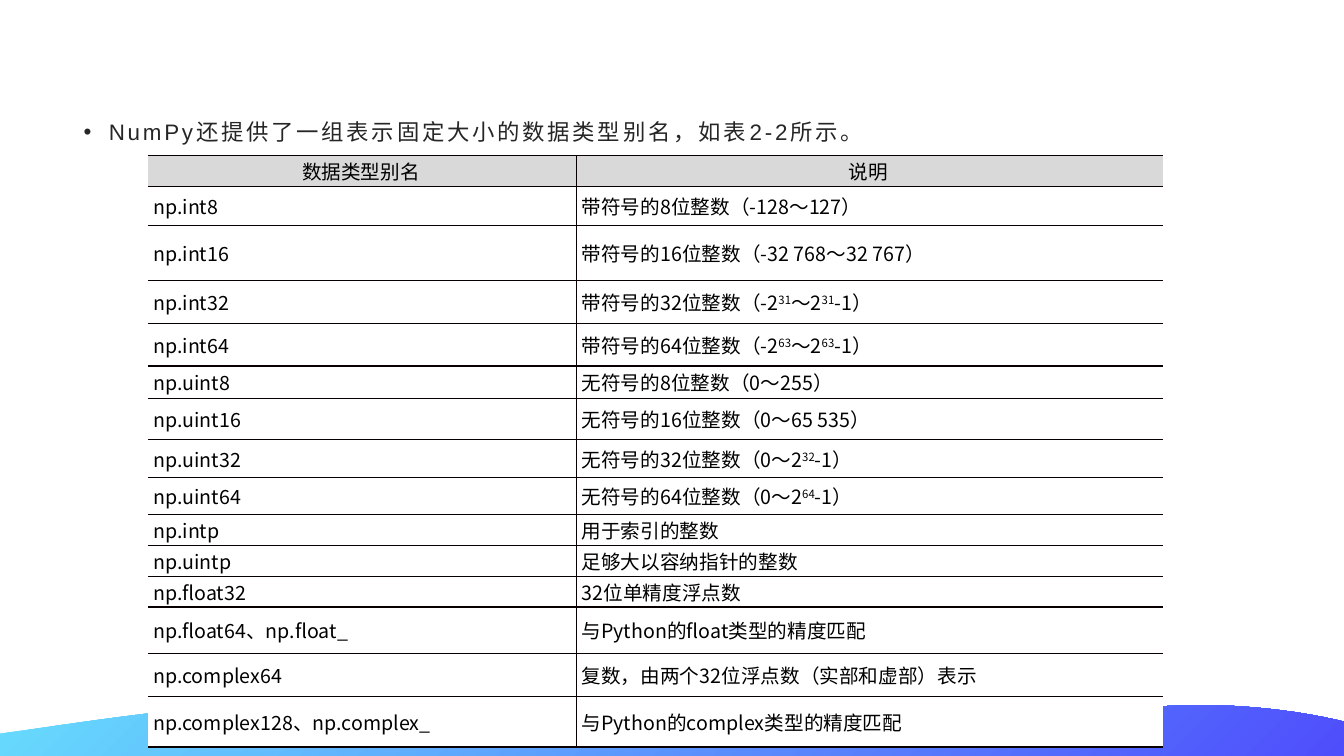
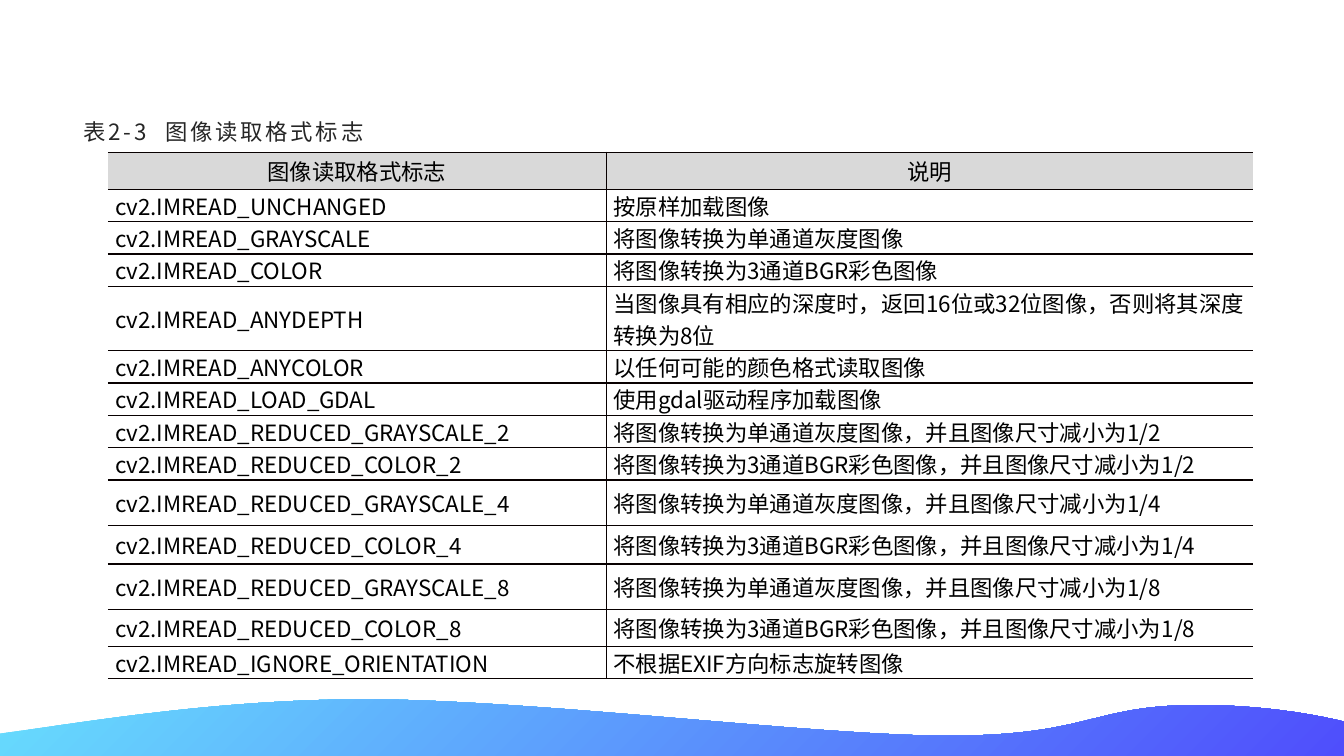
"""Build two slides that tabulate NumPy type aliases and image reading flags."""
from lxml import etree
from pptx import Presentation
from pptx.dml.color import RGBColor
from pptx.enum.text import MSO_ANCHOR, MSO_AUTO_SIZE, PP_ALIGN
from pptx.oxml.ns import qn
from pptx.util import Pt

MIDDLE, TOP = MSO_ANCHOR.MIDDLE, MSO_ANCHOR.TOP
CENTER, LEFT = PP_ALIGN.CENTER, PP_ALIGN.LEFT
NO_AUTOFIT = MSO_AUTO_SIZE.NONE

SLIDE_W, SLIDE_H = 960, 540
LATIN, CJK = "Arial", "Noto Sans CJK SC"
INK, BLACK, RULE = "262626", "000000", "080000"
HEADER_FILL, WHITE = "D9D9D9", "FFFFFF"
WAVE_COLOURS = ("67DCFD", "4F4EFC")
BODY_BOX = (52.5, 75, 854.5, 424)
TRACKING, WIDE_TRACKING = 2, 7.5

WAVE_START = (0, 524)
WAVE_CURVES = [
    ((51, 517.5), (151, 499.5), (260, 499.5)),
    ((379.5, 499.5), (577.5, 525), (674, 525.5)),
    ((770.5, 526), (778, 507), (839, 504)),
    ((884, 502), (930, 508), (960, 515.5)),
]

ALIAS_ROWS = [
    (22, "数据类型别名", "说明"),
    (28, "np.int8", "带符号的8位整数（-128～127）"),
    (39.5, "np.int16", "带符号的16位整数（-32 768～32 767）"),
    (30.5, "np.int32", "带符号的32位整数（-2^31^～2^31^-1）"),
    (30.5, "np.int64", "带符号的64位整数（-2^63^～2^63^-1）"),
    (23, "np.uint8", "无符号的8位整数（0～255）"),
    (29.75, "np.uint16", "无符号的16位整数（0～65 535）"),
    (27, "np.uint32", "无符号的32位整数（0～2^32^-1）"),
    (26.5, "np.uint64", "无符号的64位整数（0～2^64^-1）"),
    (22, "np.intp", "用于索引的整数"),
    (22, "np.uintp", "足够大以容纳指针的整数"),
    (22, "np.float32", "32位单精度浮点数"),
    (33, "np.float64、np.float_", "与Python的float类型的精度匹配"),
    (31, "np.complex64", "复数，由两个32位浮点数（实部和虚部）表示"),
    (36, "np.complex128、np.complex_", "与Python的complex类型的精度匹配"),
]

GRAY = "将图像转换为单通道灰度图像"
COLOUR = "将图像转换为3通道BGR彩色图像"
REDUCED_HEIGHTS = {2: (23, 23), 4: (32.5, 27.5), 8: (32.5, 26.5)}
REDUCED_ROWS = [
    (height, f"cv2.IMREAD_REDUCED_{mode}_{factor}", f"{effect}，并且图像尺寸减小为1/{factor}")
    for factor, heights in REDUCED_HEIGHTS.items()
    for height, mode, effect in zip(heights, ("GRAYSCALE", "COLOR"), (GRAY, COLOUR))
]
FLAG_ROWS = [
    (26.5, "图像读取格式标志", "说明"),
    (23, "cv2.IMREAD_UNCHANGED", "按原样加载图像"),
    (23, "cv2.IMREAD_GRAYSCALE", GRAY),
    (23, "cv2.IMREAD_COLOR", COLOUR),
    (46, "cv2.IMREAD_ANYDEPTH", "当图像具有相应的深度时，返回16位或32位图像，否则将其深度转换为8位"),
    (23, "cv2.IMREAD_ANYCOLOR", "以任何可能的颜色格式读取图像"),
    (23, "cv2.IMREAD_LOAD_GDAL", "使用gdal驱动程序加载图像"),
    *REDUCED_ROWS,
    (23, "cv2.IMREAD_IGNORE_ORIENTATION", "不根据EXIF方向标志旋转图像"),
]


def rgb(value):
    """Turn a hex string into a colour."""
    return RGBColor.from_string(value)


def style_paragraph(paragraph, size, latin, colour):
    """Set the font that all runs of a paragraph share."""
    font = paragraph.font
    font.size, font.name = Pt(size), latin
    font.color.rgb = rgb(colour)
    properties = paragraph._p.get_or_add_pPr().find(qn("a:defRPr"))
    etree.SubElement(properties, qn("a:ea")).set("typeface", CJK)


def bend_segments(shape, count):
    """Merge the first line segments, three at a time, into cubic curves."""
    segments = list(shape._element.iter(qn("a:lnTo")))
    for first in range(0, 3 * count, 3):
        curve = etree.Element(qn("a:cubicBezTo"))
        segments[first].addprevious(curve)
        for segment in segments[first:first + 3]:
            curve.append(segment[0])
            segment.getparent().remove(segment)


def add_wave(slide):
    """Draw the footer wave and hand it to the slide's layout."""
    knots = [knot for curve in WAVE_CURVES for knot in curve]
    outline = knots + [(SLIDE_W, SLIDE_H), (0, SLIDE_H)]
    builder = slide.shapes.build_freeform(Pt(WAVE_START[0]), Pt(WAVE_START[1]))
    builder.add_line_segments([(Pt(x), Pt(y)) for x, y in outline], close=True)
    wave = builder.convert_to_shape()
    bend_segments(wave, len(WAVE_CURVES))
    wave.shadow.inherit = False
    wave.line.fill.background()
    wave.fill.gradient()
    wave.fill.gradient_angle = 315
    for stop, colour in zip(wave.fill.gradient_stops, WAVE_COLOURS):
        stop.color.rgb = rgb(colour)
    slide.slide_layout.shapes._spTree.append(wave._element)


def add_intro(slide, box, pieces, bulleted):
    """Fill the body placeholder with one line of (text, font, tracking) pieces."""
    body = slide.placeholders[1]
    body.left, body.top, body.width, body.height = map(Pt, box)
    frame = body.text_frame
    frame.auto_size, frame.vertical_anchor = NO_AUTOFIT, TOP
    intro = frame.paragraphs[0]
    properties = intro._p.get_or_add_pPr()
    indent = Pt(18) if bulleted else 0
    properties.set("marL", str(indent))
    properties.set("indent", str(-indent))
    if bulleted:
        etree.SubElement(properties, qn("a:buFont")).set("typeface", LATIN)
        etree.SubElement(properties, qn("a:buChar")).set("char", "•")
    else:
        etree.SubElement(properties, qn("a:buNone"))
    intro.line_spacing = 1.3
    intro.space_before, intro.space_after = Pt(0), Pt(10)
    style_paragraph(intro, 16, LATIN, INK)
    for text, latin, tracking in pieces:
        run = intro.add_run()
        run.text = text
        if latin != LATIN:
            run.font.name = latin
        run._r.get_or_add_rPr().set("spc", str(int(tracking * 100)))


def set_borders(cell, ruled):
    """Rule the named sides of a cell and clear the others."""
    properties = cell._tc.get_or_add_tcPr()
    for position, side in enumerate("LRTB"):
        line = etree.Element(qn(f"a:ln{side}"), w=str(Pt(1)))
        if side in ruled:
            fill = etree.SubElement(line, qn("a:solidFill"))
            etree.SubElement(fill, qn("a:srgbClr")).set("val", RULE)
        else:
            etree.SubElement(line, qn("a:noFill"))
        properties.insert(position, line)


def fill_cell(cell, text, size, margins, fill, align):
    """Write a cell, with text between carets raised."""
    cell.margin_left, cell.margin_top, cell.margin_right, cell.margin_bottom = map(Pt, margins)
    cell.vertical_anchor = MIDDLE
    if fill:
        cell.fill.solid()
        cell.fill.fore_color.rgb = rgb(fill)
    else:
        cell.fill.background()
    entry = cell.text_frame.paragraphs[0]
    entry.alignment = align
    style_paragraph(entry, size, CJK, BLACK)
    for index, piece in enumerate(text.split("^")):
        run = entry.add_run()
        run.text = piece
        if index % 2:
            run._r.get_or_add_rPr().set("baseline", "30000")


def add_definitions(slide, corner, widths, rows, size, margins, body_fill):
    """Place a two-column table of terms and explanations."""
    heights = [row[0] for row in rows]
    table = slide.shapes.add_table(
        len(rows), len(widths), *map(Pt, (*corner, sum(widths), sum(heights)))).table
    table.first_row = table.horz_banding = False
    for column, width in zip(table.columns, widths):
        column.width = Pt(width)
    for r, (height, *texts) in enumerate(rows):
        table.rows[r].height = Pt(height)
        fill, align = (body_fill, LEFT) if r else (HEADER_FILL, CENTER)
        for c, text in enumerate(texts):
            cell = table.cell(r, c)
            fill_cell(cell, text, size, margins, fill, align)
            set_borders(cell, "LTB" if c else "RTB")


def add_table_slide(deck, pieces, bulleted, **definitions):
    """Add a slide with an introductory line above a table."""
    slide = deck.slides.add_slide(deck.slide_layouts[1])
    title = slide.shapes.title._element
    title.getparent().remove(title)
    add_intro(slide, BODY_BOX, pieces, bulleted)
    add_definitions(slide, **definitions)
    return slide


def main():
    """Build and save the deck."""
    deck = Presentation()
    deck.slide_width, deck.slide_height = Pt(SLIDE_W), Pt(SLIDE_H)
    aliases = add_table_slide(
        deck, [("NumPy还提供了一组表示固定大小的数据类型别名，如表2-2所示。", LATIN, TRACKING)], True,
        corner=(105.75, 111), widths=(306, 419), rows=ALIAS_ROWS, size=14,
        margins=(3.75, 0.75, 5.5, 0.75), body_fill=WHITE)
    add_wave(aliases)
    caption = [("表", LATIN, TRACKING), ("2-3", CJK, TRACKING), (" ", CJK, WIDE_TRACKING),
               ("图像读取格式标志", LATIN, TRACKING)]
    add_table_slide(
        deck, caption, False,
        corner=(77, 108.75), widths=(356, 462), rows=FLAG_ROWS, size=16,
        margins=(5.25, 0, 5.25, 0), body_fill=None)
    deck.save("out.pptx")


if __name__ == "__main__":
    main()
